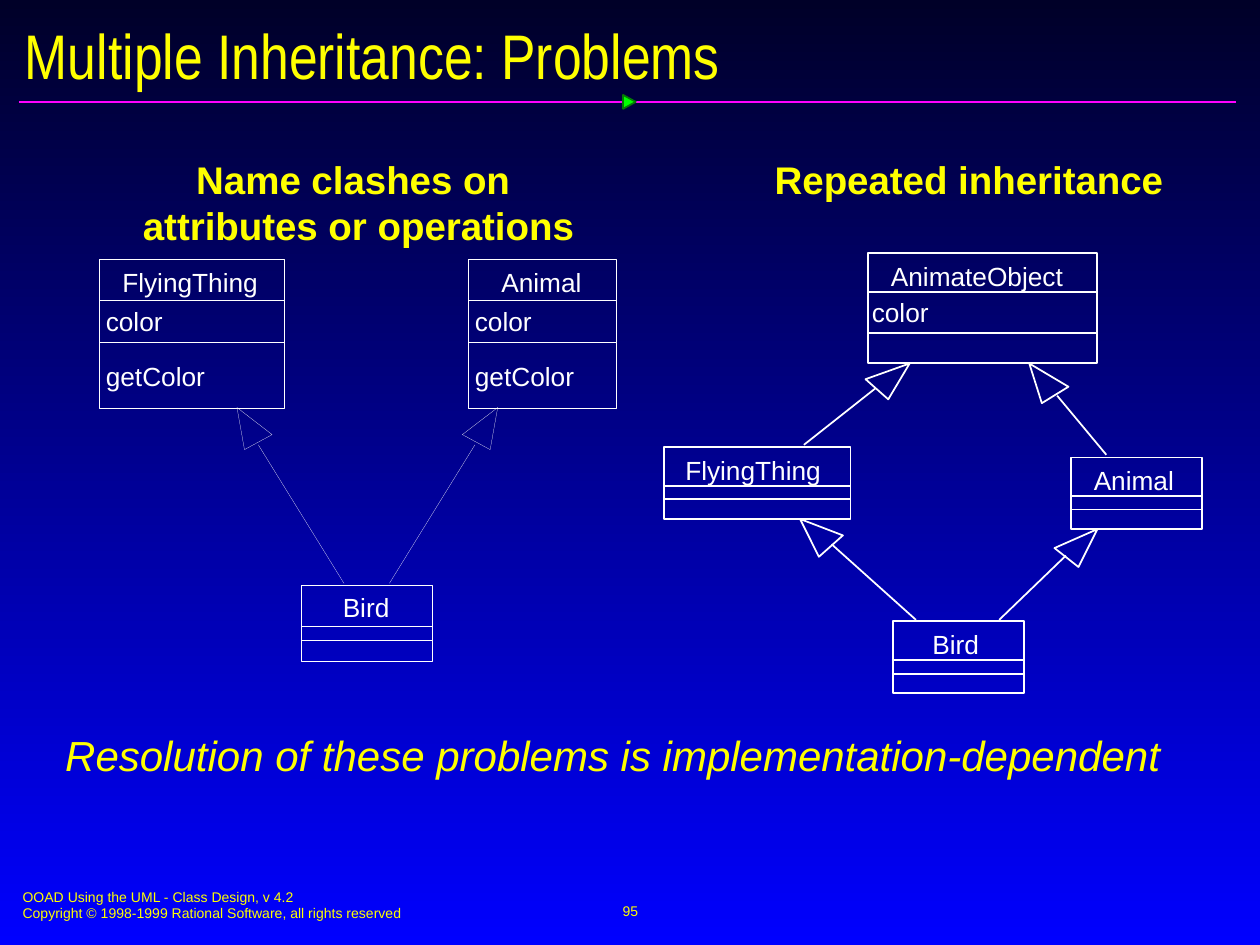
"""Build the slide on the problems of multiple inheritance."""
from dataclasses import dataclass

from lxml.etree import SubElement
from pptx import Presentation
from pptx.dml.color import RGBColor
from pptx.enum.shapes import MSO_CONNECTOR as CONN, MSO_SHAPE as SHAPE
from pptx.enum.text import MSO_ANCHOR as ANCHOR, PP_ALIGN as ALIGN
from pptx.oxml.ns import qn
from pptx.util import Pt

WHITE = RGBColor(0xFF, 0xFF, 0xFF)
YELLOW = RGBColor(0xFF, 0xFF, 0x00)
MAGENTA = RGBColor(0xFF, 0x01, 0xFF)
GREEN = RGBColor(0x00, 0xFF, 0x00)
DARK_GREEN = RGBColor(0x03, 0x7C, 0x03)
NAVY = RGBColor(0x00, 0x00, 0x28)
BLUE = RGBColor(0x00, 0x00, 0xFF)

HAIRLINE, THIN = 0.1, 1
MIN_DIVIDER = 0.37
NAME_DROP = 3.9
LABEL_SIZE, LABEL_HEIGHT = 15, 18
LABEL_WIDTHS = {"FlyingThing": 80, "Animal": 49, "Bird": 30,
                "AnimateObject": 101, "color": 36, "getColor": 64}

Point = tuple[float, float]


@dataclass(frozen=True)
class Caption:
    lines: tuple[str, ...]
    box: tuple[float, float, float, float]
    size: float
    color: RGBColor = YELLOW
    font: str = "Arial"
    bold: bool = False
    italic: bool = False
    align: ALIGN = ALIGN.LEFT
    anchor: ANCHOR = ANCHOR.TOP
    wrap: bool = False
    inset: Point = (7.2, 3.6)


@dataclass(frozen=True)
class ClassBox:
    name: str
    box: tuple[float, float, float, float]
    name_indent: float
    dividers: Point
    weight: float
    members: tuple[tuple[str, float, float], ...] = ()


@dataclass(frozen=True)
class Generalization:
    start: Point
    end: Point
    tip: Point
    wings: tuple[Point, Point]
    weight: float


CAPTIONS = (
    Caption(("Multiple Inheritance: Problems",), (7.2, 10.1, 708.5, 41.8), 36,
            font="Arial Narrow", anchor=ANCHOR.MIDDLE, wrap=True),
    Caption(("Name clashes on ", "attributes or operations"), (74.2, 85.7, 261.4, 59.8), 22,
            bold=True, align=ALIGN.CENTER),
    Caption(("Repeated inheritance",), (435.6, 85.7, 236.9, 33.8), 22, bold=True),
    Caption(("Resolution of these problems is implementation-dependent",),
            (30.2, 413.3, 650.2, 36), 24, italic=True, wrap=True),
    Caption(("OOAD Using the UML - Class Design, v 4.2",
             "Copyright © 1998-1999 Rational Software, all rights reserved"),
            (5.8, 504, 367.2, 26.6), 8, wrap=True),
    Caption(("95",), (246.2, 502.6, 228.2, 36), 8, align=ALIGN.CENTER, anchor=ANCHOR.MIDDLE),
)

CLASH_MEMBERS = (("color", 3.6, 25.9), ("getColor", 3.6, 57.6))
CLASSES = (
    ClassBox("FlyingThing", (56.9, 148.3, 105.8, 85), 13, (23.4, 47.5), HAIRLINE, CLASH_MEMBERS),
    ClassBox("Animal", (267.8, 148.3, 84.2, 85), 18.7, (23.4, 47.5), HAIRLINE, CLASH_MEMBERS),
    ClassBox("Bird", (172.1, 334.1, 74.9, 43.9), 23.8, (23.8, 31.7), HAIRLINE),
    ClassBox("AnimateObject", (496.1, 144.7, 131, 62.6), 13, (22.3, 45.4), THIN,
             (("color", 2.1, 24.5),)),
    ClassBox("FlyingThing", (379.4, 255.6, 106.6, 41), 12.2, (22, 29.7), THIN),
    ClassBox("Animal", (612, 261.4, 74.9, 41), 13, (22, 29.7), THIN),
    ClassBox("Bird", (510.5, 355, 74.9, 41), 22.3, (22.3, 30.2), THIN),
)

GENERALIZATIONS = (
    Generalization((196.6, 333.4), (147.6, 254.2), (135.4, 232.9),
                   ((155.5, 248.4), (139.7, 257)), HAIRLINE),
    Generalization((222.5, 333.4), (271.4, 254.2), (284.4, 232.9),
                   ((280.1, 257), (264.2, 248.4)), HAIRLINE),
    Generalization((523.4, 354.2), (475.2, 311), (457.2, 296.6),
                   ((481.7, 306), (468, 318.2)), THIN),
    Generalization((571, 354.2), (609.1, 317.5), (627.1, 302.4),
                   ((616.3, 324), (602.6, 313.2)), THIN),
    Generalization((459.4, 254.2), (500.4, 221.8), (519.8, 207.7),
                   ((507.6, 228.2), (494.6, 216.7)), THIN),
    Generalization((632.2, 259.9), (604.1, 226.1), (588.2, 207.7),
                   ((610.6, 221), (595.4, 230.4)), THIN),
)


def add_caption(s, c: Caption) -> None:
    sp = s.shapes.add_textbox(*map(Pt, c.box))
    tf = sp.text_frame
    tf.word_wrap = c.wrap
    tf.vertical_anchor = c.anchor
    tf.margin_left = tf.margin_right = Pt(c.inset[0])
    tf.margin_top = tf.margin_bottom = Pt(c.inset[1])
    for i, line in enumerate(c.lines):
        p = tf.add_paragraph() if i else tf.paragraphs[0]
        p.alignment = c.align
        r = p.add_run()
        r.text = line
        r.font.name = c.font
        r.font.size = Pt(c.size)
        r.font.bold = c.bold
        r.font.italic = c.italic
        r.font.color.rgb = c.color


def add_line(s, start: Point, end: Point, weight: float, color: RGBColor = WHITE) -> None:
    sp = s.shapes.add_connector(CONN.STRAIGHT, *map(Pt, start + end))
    sp.line.color.rgb = color
    sp.line.width = Pt(weight)
    SubElement(sp._element.spPr, qn("a:effectLst"))


def outline(sp, weight: float) -> None:
    sp.shadow.inherit = False
    sp.fill.background()
    sp.line.color.rgb = WHITE
    sp.line.width = Pt(weight)


def add_label(s, text: str, x: float, y: float) -> None:
    box = (x, y, LABEL_WIDTHS[text], LABEL_HEIGHT)
    add_caption(s, Caption((text,), box, LABEL_SIZE, WHITE, inset=(0, 0)))


def add_class(s, c: ClassBox) -> None:
    x, y, w, _ = c.box
    outline(s.shapes.add_shape(SHAPE.RECTANGLE, *map(Pt, c.box)), c.weight)
    for dy in c.dividers:
        add_line(s, (x, y + dy), (x + w, y + dy), max(c.weight, MIN_DIVIDER))
    for text, dx, dy in ((c.name, c.name_indent, NAME_DROP), *c.members):
        add_label(s, text, x + dx, y + dy)


def add_generalization(s, g: Generalization) -> None:
    add_line(s, g.start, g.end, g.weight)
    builder = s.shapes.build_freeform(*map(Pt, g.tip))
    builder.add_line_segments([(Pt(x), Pt(y)) for x, y in g.wings], close=True)
    outline(builder.convert_to_shape(), g.weight)


def add_background(s) -> None:
    fill = s.background.fill
    fill.gradient()
    fill.gradient_angle = 270
    for stop, color in zip(fill.gradient_stops, (NAVY, BLUE)):
        stop.color.rgb = color


def add_title_rule(s) -> None:
    add_line(s, (10.8, 58.2), (706.3, 58.2), THIN, MAGENTA)
    sp = s.shapes.add_shape(SHAPE.ISOSCELES_TRIANGLE, Pt(355.7), Pt(54.6), Pt(7.9), Pt(7.2))
    sp.rotation = 90
    sp.shadow.inherit = False
    sp.fill.solid()
    sp.fill.fore_color.rgb = GREEN
    sp.line.color.rgb = DARK_GREEN
    sp.line.width = Pt(THIN)


def main() -> None:
    prs = Presentation()
    prs.slide_width, prs.slide_height = Pt(720), Pt(540)
    s = prs.slides.add_slide(prs.slide_layouts[6])
    add_background(s)
    add_title_rule(s)
    for c in CAPTIONS:
        add_caption(s, c)
    for c in CLASSES:
        add_class(s, c)
    for g in GENERALIZATIONS:
        add_generalization(s, g)
    prs.save("out.pptx")


if __name__ == "__main__":
    main()
